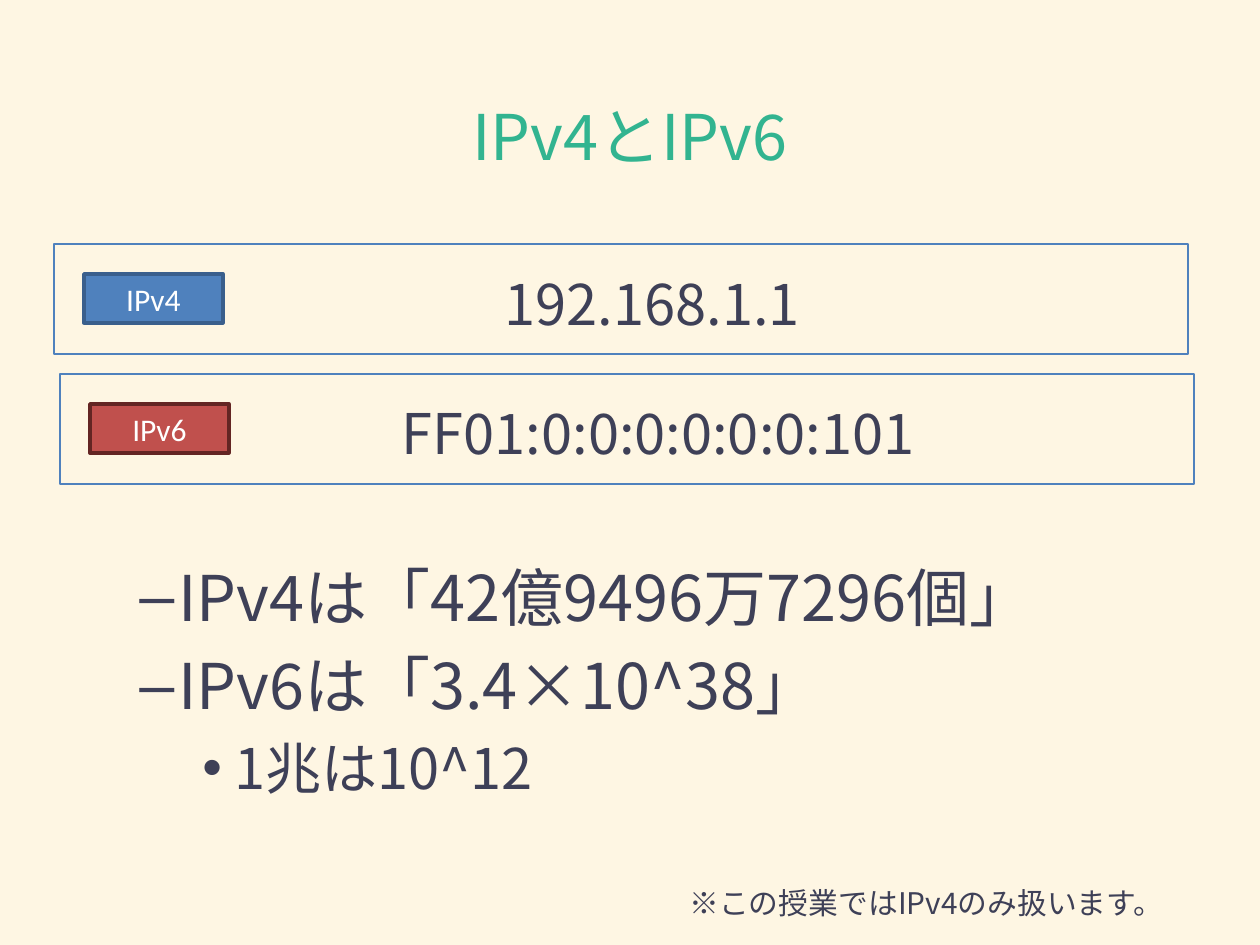
from lxml.etree import SubElement
from pptx import Presentation
from pptx.dml.color import RGBColor
from pptx.enum.shapes import MSO_SHAPE
from pptx.enum.text import MSO_ANCHOR, PP_ALIGN
from pptx.oxml.ns import qn
from pptx.util import Emu, Pt

PX = 914400 / 126
JAPANESE = "Noto Sans CJK JP"
COLORS = {
    "background": "FEF6E3", "title": "32B490", "text": "3E4057", "white": "FFFFFF",
    "blue": "4F81BD", "dark_blue": "3A5F8C", "red": "C0504D", "dark_red": "632523",
}
ADDRESSES = [
    ("IPv4", "192.168.1.1", "blue", "dark_blue", (54, 244, 1134, 110)),
    ("IPv6", "FF01:0:0:0:0:0:0:101", "red", "dark_red", (60, 374, 1134, 110)),
]
FACTS = [
    ("IPv4は「42億9496万7296個」", 36, 1, "–", 102, -39),
    ("IPv6は「3.4×10^38」", 36, 1, "–", 102, -39),
    ("1兆は10^12", 32, 2, "•", 158, -32),
]


def px(length):
    return Emu(round(length * PX))


def color(name):
    return RGBColor.from_string(COLORS[name])


def write(paragraph, text, size, color_name="text", font=JAPANESE, **formats):
    for name, value in formats.items():
        setattr(paragraph, name, value)
    run = paragraph.add_run()
    run.text = text
    for name, value in {"size": Pt(size), "name": font}.items():
        setattr(run.font, name, value)
    run.font.color.rgb = color(color_name)
    SubElement(run.font._element, qn("a:ea")).set("typeface", font)


def indent(paragraph, left, first=0, bullet=None):
    properties = paragraph._p.get_or_add_pPr()
    properties.set("marL", str(px(left)))
    properties.set("indent", str(px(first)))
    if bullet:
        SubElement(properties, qn("a:buFont")).set("typeface", "Arial")
        SubElement(properties, qn("a:buChar")).set("char", bullet)


def add_box(slide, box, line, width, fill=None, inset=None, anchor=MSO_ANCHOR.MIDDLE):
    shape = slide.shapes.add_shape(MSO_SHAPE.RECTANGLE, *map(px, box))
    shape.shadow.inherit = False
    if fill:
        shape.fill.solid()
        shape.fill.fore_color.rgb = color(fill)
    else:
        shape.fill.background()
    shape.line.color.rgb = color(line)
    shape.line.width = Pt(width)
    frame = shape.text_frame
    frame.word_wrap = True
    frame.vertical_anchor = anchor
    if inset:
        for side in ("left", "top", "right", "bottom"):
            setattr(frame, f"margin_{side}", px(inset))
    return frame.paragraphs[0]


def add_title(slide, box):
    title = slide.shapes.title
    title.left, title.top, title.width, title.height = map(px, box)
    title.text_frame.vertical_anchor = MSO_ANCHOR.MIDDLE
    write(title.text_frame.paragraphs[0], "IPv4とIPv6", 36, "title", alignment=PP_ALIGN.CENTER)


def add_address(slide, label, address, fill, line, box):
    left, top, _, _ = box
    paragraph = add_box(slide, box, "blue", 0.75, inset=25, anchor=MSO_ANCHOR.TOP)
    write(paragraph, address, 32, alignment=PP_ALIGN.CENTER, level=1, space_before=Pt(6.4))
    indent(paragraph, 63)
    badge = add_box(slide, (left + 30, top + 30, 139, 49), line, 2, fill)
    write(badge, label, 18, "white", "Calibri", alignment=PP_ALIGN.CENTER)


def add_text(slide, box, lines):
    frame = slide.shapes.add_textbox(*map(px, box)).text_frame
    frame.word_wrap = True
    for index, (text, size, level, bullet, left, first) in enumerate(lines):
        paragraph = frame.add_paragraph() if index else frame.paragraphs[0]
        write(paragraph, text, size, level=level, space_before=Pt(size * 0.2))
        indent(paragraph, left, first, bullet)


def main():
    presentation = Presentation()
    presentation.slide_width, presentation.slide_height = px(1260), px(945)
    slide = presentation.slides.add_slide(presentation.slide_layouts[5])
    slide.background.fill.solid()
    slide.background.fill.fore_color.rgb = color("background")
    add_title(slide, (63, 57, 1134, 157))
    for address in ADDRESSES:
        add_address(slide, *address)
    add_text(slide, (64, 552, 1134, 248), FACTS)
    add_text(slide, (614, 879, 586, 49), [("※この授業ではIPv4のみ扱います。", 17, 1, None, 63, 0)])
    presentation.save("out.pptx")


if __name__ == "__main__":
    main()
